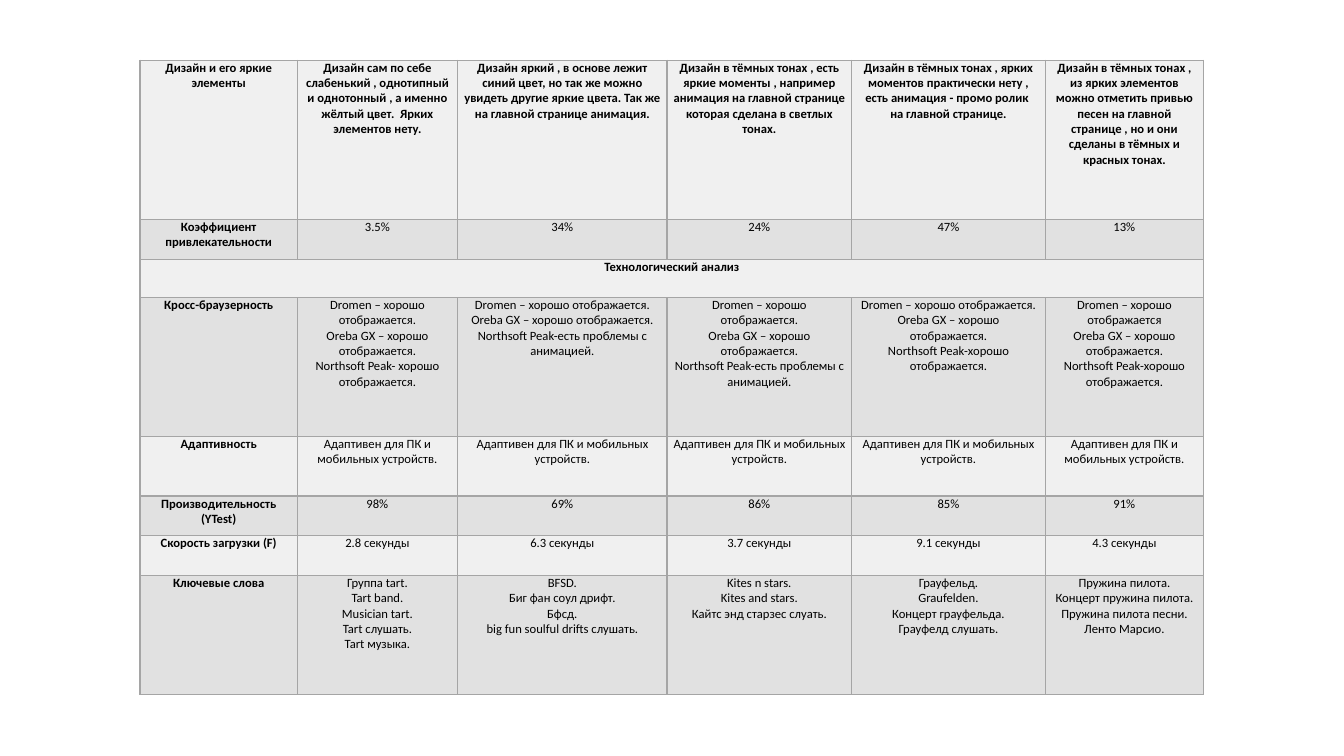
from dataclasses import dataclass

from lxml.etree import SubElement
from pptx import Presentation
from pptx.dml.color import RGBColor
from pptx.enum.text import MSO_ANCHOR as Anchor, PP_ALIGN as Align
from pptx.oxml.ns import qn
from pptx.util import Cm, Pt


@dataclass(frozen=True)
class Theme:
    font: str = "Calibri"
    size: float = 9
    text: str = "000000"
    light: str = "F0F0F0"
    dark: str = "E1E1E1"
    border: str = "A5A5A5"
    border_width: float = 1
    side_margin: float = 0.15


COLUMN_WIDTHS = [3.96, 4.04, 5.28, 4.65, 4.88, 3.99]
ROW_HEIGHTS = [4.01, 1, 0.97, 3.5, 1.5, 1, 1, 3]

GOOD = "хорошо отображается."
BROWSERS = f"Dromen – {GOOD}\nOreba GX – {GOOD}\nNorthsoft Peak-"
ANIMATION_ISSUES = BROWSERS + "есть проблемы с анимацией."
ADAPTIVE = "Адаптивен для ПК и мобильных устройств."

SITE_ANALYSIS = [
    [
        "Дизайн и его яркие элементы",
        "Дизайн сам по себе слабенький , однотипный и однотонный , а именно "
        "жёлтый цвет.  Ярких элементов нету.",
        "Дизайн яркий , в основе лежит синий цвет, но так же можно увидеть "
        "другие яркие цвета. Так же на главной странице анимация.",
        "Дизайн в тёмных тонах , есть яркие моменты , например анимация на "
        "главной странице которая сделана в светлых тонах.",
        "Дизайн в тёмных тонах , ярких моментов практически нету , есть "
        "анимация - промо ролик  на главной странице.",
        "Дизайн в тёмных тонах , из ярких элементов можно отметить привью "
        "песен на главной странице , но и они сделаны в тёмных и красных тонах.",
    ],
    ["Коэффициент привлекательности", "3.5%", "34%", "24%", "47%", "13%"],
    ["Технологический анализ"],
    [
        "Кросс-браузерность",
        BROWSERS + " " + GOOD,
        ANIMATION_ISSUES,
        ANIMATION_ISSUES,
        BROWSERS + GOOD,
        (BROWSERS + GOOD).replace(".", "", 1),
    ],
    ["Адаптивность"] + [ADAPTIVE] * 5,
    ["Производительность (YTest)", "98%", "69%", "86%", "85%", "91%"],
    ["Скорость загрузки (F)"]
    + [f"{seconds} секунды" for seconds in (2.8, 6.3, 3.7, 9.1, 4.3)],
    [
        "Ключевые слова",
        "Группа tart.\nTart band.\nMusician tart.\nTart слушать.\nTart музыка.",
        "BFSD.\nБиг фан соул дрифт.\nБфсд.\nbig fun soulful drifts слушать.",
        "Kites n stars.\nKites and stars.\nКайтс энд старзес слуать.",
        "Грауфельд.\nGraufelden.\nКонцерт грауфельда.\nГрауфелд слушать.",
        "Пружина пилота.\nКонцерт пружина пилота.\nПружина пилота песни.\n"
        "Ленто Марсио.",
    ],
]


def write_text(text_frame, text, *, theme, bold=False, align=Align.CENTER):
    text_frame.text = text
    for paragraph in text_frame.paragraphs:
        paragraph.alignment = align
        font = paragraph.font
        for run in paragraph.runs:
            font = run.font
            font.name = theme.font
            font.size = Pt(theme.size)
            font.bold = bold
            font.color.rgb = RGBColor.from_string(theme.text)


class SlideBuilder:
    def __init__(self, presentation, theme):
        self.theme = theme
        self.slide = presentation.slides.add_slide(presentation.slide_layouts[6])

    def add_borders(self, cell):
        properties = cell._tc.get_or_add_tcPr()
        for side in ("lnL", "lnR", "lnT", "lnB"):
            line = SubElement(properties, qn(f"a:{side}"))
            line.set("w", str(Pt(self.theme.border_width)))
            fill = SubElement(line, qn("a:solidFill"))
            SubElement(fill, qn("a:srgbClr")).set("val", self.theme.border)

    def style_cell(self, cell, color):
        self.add_borders(cell)
        cell.fill.solid()
        cell.fill.fore_color.rgb = RGBColor.from_string(color)
        cell.margin_left = cell.margin_right = Cm(self.theme.side_margin)
        cell.margin_top = cell.margin_bottom = 0
        cell.vertical_anchor = Anchor.TOP

    def add_table(self, rows, left, top, widths, heights):
        frame = self.slide.shapes.add_table(
            len(heights), len(widths), Cm(left), Cm(top),
            Cm(sum(widths)), Cm(sum(heights)),
        )
        table = frame.table
        for column, width in zip(table.columns, widths):
            column.width = Cm(width)
        for row_index, (texts, height) in enumerate(zip(rows, heights)):
            row = table.rows[row_index]
            row.height = Cm(height)
            color = self.theme.dark if row_index % 2 else self.theme.light
            for cell in row.cells:
                self.style_cell(cell, color)
            if len(texts) == 1:
                row.cells[0].merge(row.cells[len(widths) - 1])
            for column_index, text in enumerate(texts):
                write_text(
                    row.cells[column_index].text_frame, text, theme=self.theme,
                    bold=row_index == 0 or column_index == 0,
                )


def main():
    presentation = Presentation()
    presentation.slide_width = Cm(33.87)
    presentation.slide_height = Cm(19.05)
    builder = SlideBuilder(presentation, Theme())
    builder.add_table(SITE_ANALYSIS, 3.53, 1.52, COLUMN_WIDTHS, ROW_HEIGHTS)
    presentation.save("out.pptx")


if __name__ == "__main__":
    main()
